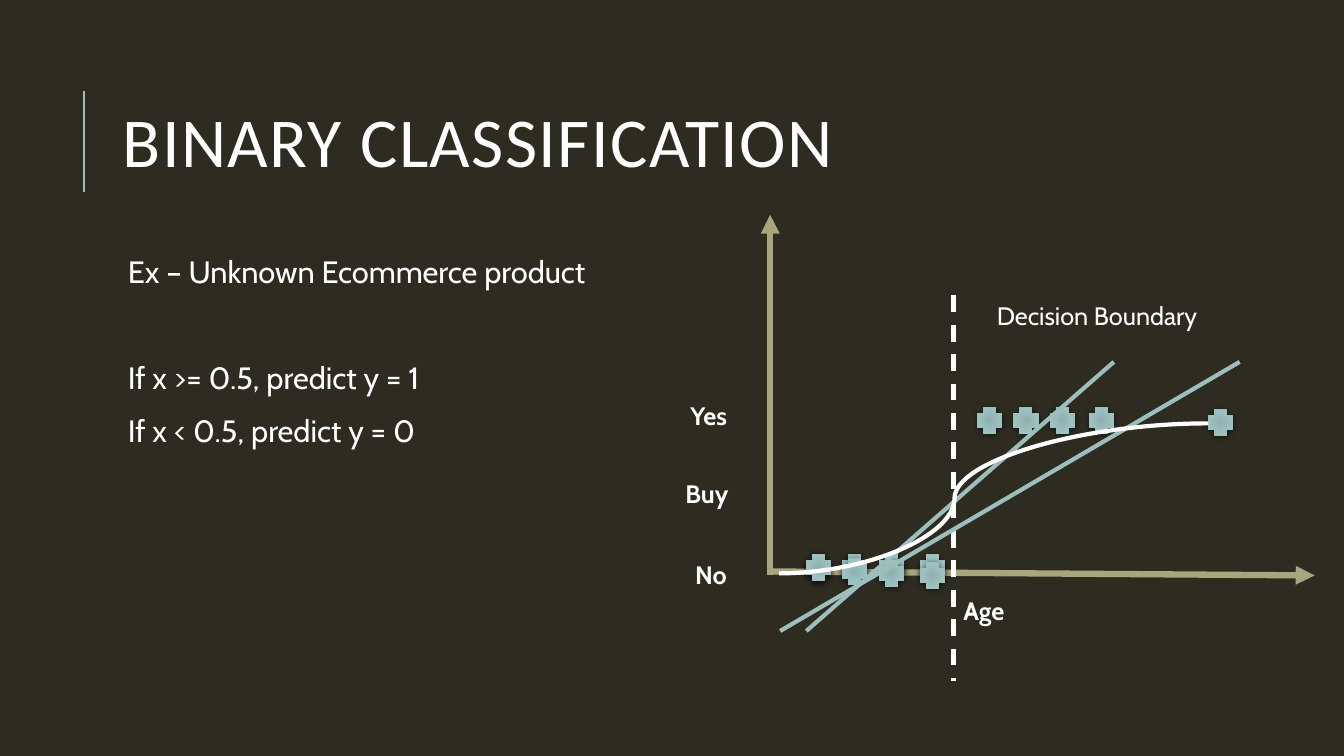
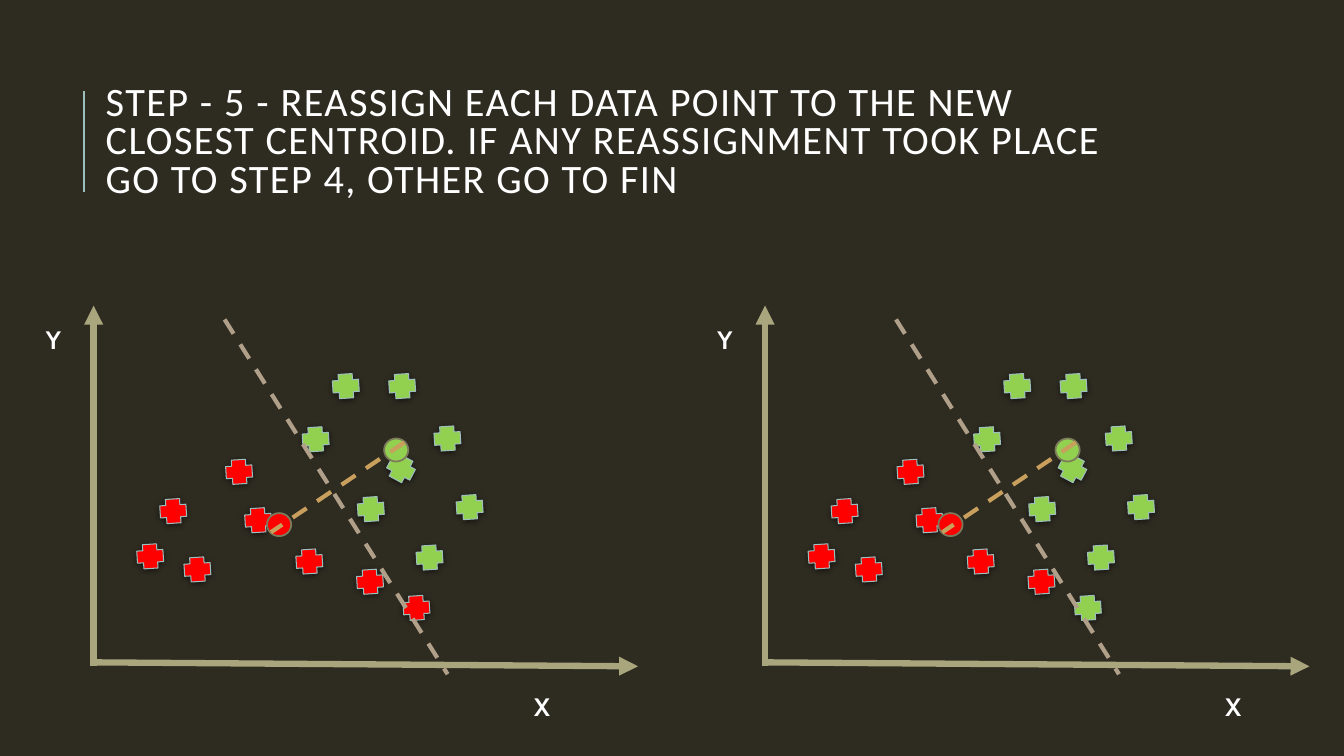
from lxml.etree import SubElement as Sub
from pptx import Presentation
from pptx.dml.color import RGBColor as RGB
from pptx.enum.dml import MSO_LINE as DASH
from pptx.enum.shapes import MSO_CONNECTOR as CON, MSO_SHAPE as SHP
from pptx.enum.text import MSO_ANCHOR as ANC, MSO_AUTO_SIZE as FIT, PP_ALIGN as ALN
from pptx.oxml.ns import qn
from pptx.util import Cm, Pt

HUES = {
    "back": "2E2B21", "text": "FFFFFF", "teal": "9CBEBD", "dark": "91B1B0",
    "pale": "A2CDCC", "axis": "A9A57C", "rim": "7D7A5C", "red": "FF0000",
    "green": "92D050", "gold": "C89F5D", "tan": "B1A089", "black": "000000",
}
INK = {name: RGB.from_string(hue) for name, hue in HUES.items()}


def link(slide, ends, hue, width, kind=CON.STRAIGHT, dash=False, arrow=False):
    """Draw a connector between two points given in cm."""
    line = slide.shapes.add_connector(kind, *[Cm(v) for v in ends])
    line.line.color.rgb = INK[hue]
    line.line.width = Pt(width)
    props = line.element.spPr
    if dash:
        line.line.dash_style = DASH.DASH
    if arrow:
        Sub(props.find(qn("a:ln")), qn("a:tailEnd"), type="triangle")
    Sub(props, qn("a:effectLst"))
    return line


def cross(slide, x, y, hue=None, turn=0):
    """Draw a data point: flat in the given hue, or with a teal gradient."""
    plus = slide.shapes.add_shape(SHP.CROSS, Cm(x), Cm(y), Cm(0.61), Cm(0.66))
    plus.rotation = turn
    plus.line.color.rgb = INK["teal"]
    plus.line.width = Pt(0.75)
    props = plus.element.spPr
    if hue:
        plus.fill.solid()
        plus.fill.fore_color.rgb = INK[hue]
    else:
        plus.fill.gradient()
        for stop, tone in zip(plus.fill.gradient_stops, ("dark", "pale")):
            stop.color.rgb = INK[tone]
        grad = props.find(qn("a:gradFill"))
        grad.remove(grad.find(qn("a:lin")))
        ring = Sub(grad, qn("a:path"), path="circle")
        Sub(ring, qn("a:fillToRect"), {side: "100000" for side in "ltrb"})
    glow = Sub(Sub(props, qn("a:effectLst")), qn("a:outerShdw"),
               blurRad=str(Pt(4)), dist=str(Pt(1)), dir="5400000", rotWithShape="0")
    tint = Sub(glow, qn("a:srgbClr"), val=HUES["black"])
    Sub(tint, qn("a:alpha"), val="50000")


deck = Presentation()
deck.slide_width, deck.slide_height = Cm(33.87), Cm(19.05)
one = deck.slides.add_slide(deck.slide_layouts[1])
two = deck.slides.add_slide(deck.slide_layouts[5])

# Shared background and title rule live on the master
base = deck.slide_master
base.background.fill.solid()
base.background.fill.fore_color.rgb = INK["back"]
rule = link(one, (2.11, 4.83, 2.11, 2.29), "teal", 1.5)
base.shapes.element.append(rule.element)

# Titles
STEP = ("STEP - 5 - REASSIGN EACH DATA POINT TO THE NEW CLOSEST CENTROID. "
        "IF ANY REASSIGNMENT TOOK PLACE GO TO STEP 4, OTHER GO TO FIN")
for slide, text, size, box, foot in (
    (one, "BINARY CLASSIFICATION", 50, (2.84, 1.63, 27, 4.17), 0.13),
    (two, STEP, 28.8, (2.41, 2.29, 25.78, 3.63), 1.12),
):
    head = slide.shapes.title
    head.left, head.top, head.width, head.height = [Cm(v) for v in box]
    frame = head.text_frame
    frame.auto_size = FIT.NONE
    frame.word_wrap = True
    frame.vertical_anchor = ANC.MIDDLE
    frame.margin_bottom = Cm(foot)
    para = frame.paragraphs[0]
    para.alignment = ALN.LEFT
    para.line_spacing = 0.8
    run = para.add_run()
    run.text = text
    run.font.size, run.font.name = Pt(size), "Calibri"
    run.font.color.rgb = INK["text"]
    run.font._element.set("spc", "100")

# Rules of the example
body = one.placeholders[1]
body.left, body.top, body.width, body.height = Cm(2.84), Cm(6.35), Cm(13.21), Cm(11.18)
frame = body.text_frame
frame.auto_size = FIT.NONE
frame.margin_left = frame.margin_right = frame.margin_top = frame.margin_bottom = Cm(0.13)
for i, (text, gap) in enumerate((
    ("Ex – Unknown Ecommerce product", 12),
    ("If x >= 0.5, predict y = 1", 50),
    ("If x < 0.5, predict y = 0", 12),
)):
    para = frame.add_paragraph() if i else frame.paragraphs[0]
    para.line_spacing = 0.9
    para.space_before, para.space_after = Pt(gap), Pt(2)
    run = para.add_run()
    run.text = text
    run.font.size, run.font.name = Pt(22), "Cabin"
    run.font.color.rgb = INK["text"]
    props = para._p.get_or_add_pPr()
    props.set("marL", str(Cm(0.25)))
    props.set("indent", "0")
    Sub(props, qn("a:buNone"))

# Axes of all three plots
SHIFT = 16.92
for slide, x, y in ((one, 19.41, 14.4), (two, 2.36, 16.69), (two, 2.36 + SHIFT, 16.69)):
    link(slide, (x, y + 0.1, x, y - 8.99), "axis", 4.5, arrow=True)
    link(slide, (x, y, x + 13.72, y + 0.1), "axis", 4.5, arrow=True)

# Slide 1: buyers by age, fitted lines and the logistic curve
LOW = (20.32, 21.23, 22.17, 23.19)
HIGH = (24.64, 25.55, 26.47, 27.46)
spots = [(x, 13.97) for x in LOW] + [(x, 10.26) for x in HIGH]
spots += zip(LOW, (13.97, 14.07, 14.12, 14.17))
for x, y in spots:
    cross(one, x, y)
link(one, (24.03, 7.44, 24.03, 17.17), "text", 3, dash=True)
link(one, (20.32, 15.9, 28.07, 9.12), "teal", 3)
cross(one, 30.45, 10.31)
link(one, (19.66, 15.9, 31.24, 9.12), "teal", 3)
curve = link(one, (19.63, 14.45, 30.45, 10.67), "text", 3, kind=CON.CURVE)
guide = curve.element.spPr.find(qn("a:prstGeom")).find(qn("a:avLst"))
Sub(guide, qn("a:gd"), name="adj1", fmla="val 40900")

# Slide 2: clusters before and after the reassignment
GREEN = ((11.53, 12.45), (8.41, 9.4), (7.65, 10.74), (9.83, 9.4),
         (10.97, 10.72), (9.04, 12.5), (10.52, 13.72))
RED = ((7.49, 13.82), (4.06, 12.55), (3.48, 13.69), (4.67, 14.02),
       (6.2, 12.78), (9.02, 14.33), (5.72, 11.56))
for dx, hue in ((0, "red"), (SHIFT, "green")):
    marks = [(x, y, "green", 86.3) for x, y in GREEN]
    marks += [(x, y, "red", 86.3) for x, y in RED]
    marks += [(9.8, 11.48, "green", 118), (10.19, 14.99, hue, 86.3)]
    for x, y, tone, turn in marks:
        cross(two, x + dx, y, tone, turn)
    for x, y, tone in ((6.73, 12.93, "red"), (9.68, 11.05, "green")):
        dot = two.shapes.add_shape(SHP.OVAL, Cm(x + dx), Cm(y), Cm(0.61), Cm(0.58))
        dot.shadow.inherit = False
        dot.fill.solid()
        dot.fill.fore_color.rgb = INK[tone]
        dot.line.color.rgb = INK["rim"]
        dot.line.width = Pt(1.25)
    link(two, (10.19 + dx, 11.15, 6.83 + dx, 13.41), "gold", 3, dash=True)
    link(two, (5.66 + dx, 8.05, 11.28 + dx, 16.99), "tan", 3, dash=True)

# Labels of all three plots
for slide, text, x, y, width, bold in (
    (one, "Yes", 17.15, 9.96, 1.93, True),
    (one, "Buy", 17.02, 11.94, 1.93, True),
    (one, "No", 17.27, 13.97, 1.93, True),
    (one, "Age", 24.03, 14.88, 4.52, True),
    (one, "Decision Boundary", 24.87, 7.44, 7.32, False),
    (two, "Y", 0.91, 8.05, 1.93, True),
    (two, "X", 13.21, 17.3, 1.93, True),
    (two, "Y", 0.91 + SHIFT, 8.05, 1.93, True),
    (two, "X", 30.63, 17.3, 1.93, True),
):
    label = slide.shapes.add_textbox(Cm(x), Cm(y), Cm(width), Cm(1.02))
    label.text_frame.word_wrap = True
    label.text_frame.auto_size = FIT.SHAPE_TO_FIT_TEXT
    run = label.text_frame.paragraphs[0].add_run()
    run.text = text
    run.font.size, run.font.name, run.font.bold = Pt(18), "Cabin", bold
    run.font.color.rgb = INK["text"]

deck.save("out.pptx")
